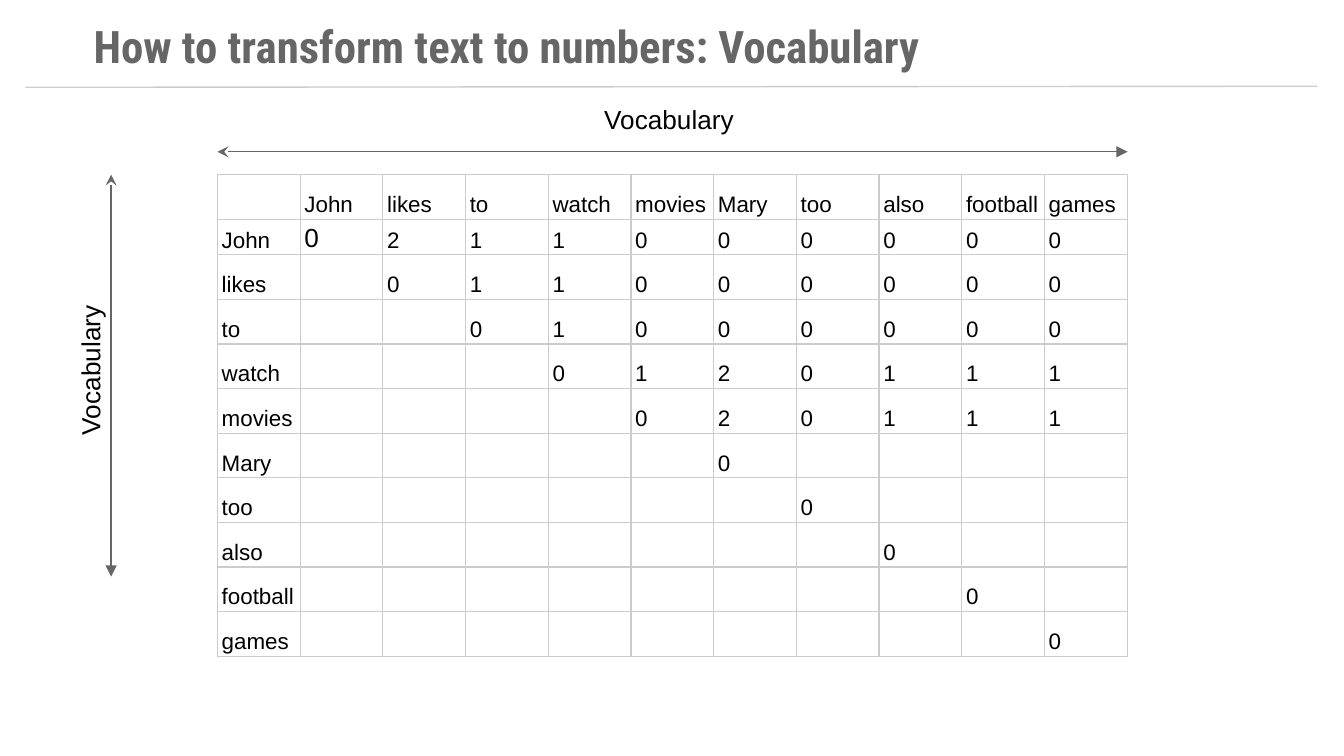
from lxml.etree import SubElement
from pptx import Presentation
from pptx.dml.color import RGBColor
from pptx.enum.shapes import MSO_CONNECTOR as Connector
from pptx.enum.text import MSO_ANCHOR as Anchor
from pptx.oxml.ns import qn
from pptx.util import Cm, Pt

BLACK, GREY, RULE = "000000", "666666", "CCCCCC"
WORDS = "John likes to watch movies Mary too also football games".split()
# Co-occurrence counts of each word, from the diagonal rightwards
COUNTS = ["0211000000", "011000000", "01000000", "0120111", "020111",
          "0", "0", "0", "0", "0"]


def color(hex_code):
    return RGBColor.from_string(hex_code)


def style(paragraph, size, hex_code=BLACK, face="Arial", bold=False):
    font = paragraph.font
    font.size, font.name, font.bold = Pt(size), face, bold
    font.color.rgb = color(hex_code)


def add_label(slide, text, box, rotation=0, **look):
    label = slide.shapes.add_textbox(*map(Cm, box))
    label.rotation = rotation
    frame = label.text_frame
    frame.word_wrap = True
    frame.margin_left = frame.margin_right = Cm(0.25)
    frame.margin_top = frame.margin_bottom = Cm(0.25)
    frame.text = text
    style(frame.paragraphs[0], **look)


def add_line(slide, start, end, hex_code, double_arrow=False):
    line = slide.shapes.add_connector(Connector.STRAIGHT, *map(Cm, start + end))
    line.line.color.rgb = color(hex_code)
    line.line.width = Pt(0.75)
    if double_arrow:
        outline = line.line._get_or_add_ln()
        SubElement(outline, qn("a:headEnd"), type="stealth")
        SubElement(outline, qn("a:tailEnd"), type="triangle")
    SubElement(line._element.spPr, qn("a:effectLst"))


def add_header(slide, left, top, width):
    add_label(slide, "How to transform text to numbers: Vocabulary",
              (left + 1.04, top, 17.96, 1.27), size=24, hex_code=GREY,
              face="Roboto Condensed", bold=True)
    add_line(slide, (left, top + 1.55), (left + width, top + 1.53), RULE)


def add_borders(cell):
    properties = cell._tc.get_or_add_tcPr()
    for position, side in enumerate(("a:lnL", "a:lnR", "a:lnT", "a:lnB")):
        border = SubElement(properties, qn(side), w=str(Pt(0.75)))
        fill = SubElement(border, qn("a:solidFill"))
        SubElement(fill, qn("a:srgbClr"), val=RULE)
        properties.insert(position, border)


def cell_text(row, column):
    if row == 0 or column == 0:
        return WORDS[row + column - 1] if row + column else ""
    offset = column - row
    counts = COUNTS[row - 1]
    return counts[offset] if 0 <= offset < len(counts) else ""


def add_matrix(slide, left, top, width, height):
    size = len(WORDS) + 1
    matrix = slide.shapes.add_table(size, size, *map(Cm, (left, top, width, height))).table
    matrix.first_row = matrix.horz_banding = False
    for column in matrix.columns:
        column.width = Cm(width / size)
    first_count_height = 0.66
    for index, row in enumerate(matrix.rows):
        row.height = Cm(first_count_height if index == 1
                        else (height - first_count_height) / (size - 1))
    for row in range(size):
        for column in range(size):
            cell = matrix.cell(row, column)
            cell.fill.background()
            add_borders(cell)
            cell.vertical_anchor = Anchor.BOTTOM
            cell.margin_left = cell.margin_right = Cm(0.08)
            cell.margin_top = cell.margin_bottom = Cm(0.04)
            text = cell_text(row, column)
            if text:
                cell.text = text
                paragraph = cell.text_frame.paragraphs[0]
                if row == 0 or column == 0:
                    paragraph.line_spacing = 1.15
                style(paragraph, 14 if row == column == 1 else 12)


def add_axes(slide, left, top, width, height):
    """Label the matrix above and to the left of the given box."""
    above, beside = top - 0.43, left - 2.01
    add_line(slide, (left, above), (left + width, above), GREY, double_arrow=True)
    add_line(slide, (beside, top), (beside, top + height), GREY, double_arrow=True)
    add_label(slide, "Vocabulary", (left + 7.06, top - 1.6, 3.1, 0.89), size=14)
    add_label(slide, "Vocabulary", (left - 4.06, top + 3.18, 3.1, 0.89),
              rotation=270, size=14)


def main():
    deck = Presentation()
    deck.slide_width, deck.slide_height = Cm(25.4), Cm(14.29)
    slide = deck.slides.add_slide(deck.slide_layouts[6])
    add_header(slide, 0.48, 0.1, 24.41)
    add_matrix(slide, 4.11, 3.3, 17.2, 8.82)
    add_axes(slide, 4.11, 3.3, 17.2, 7.6)
    deck.save("out.pptx")


if __name__ == "__main__":
    main()
